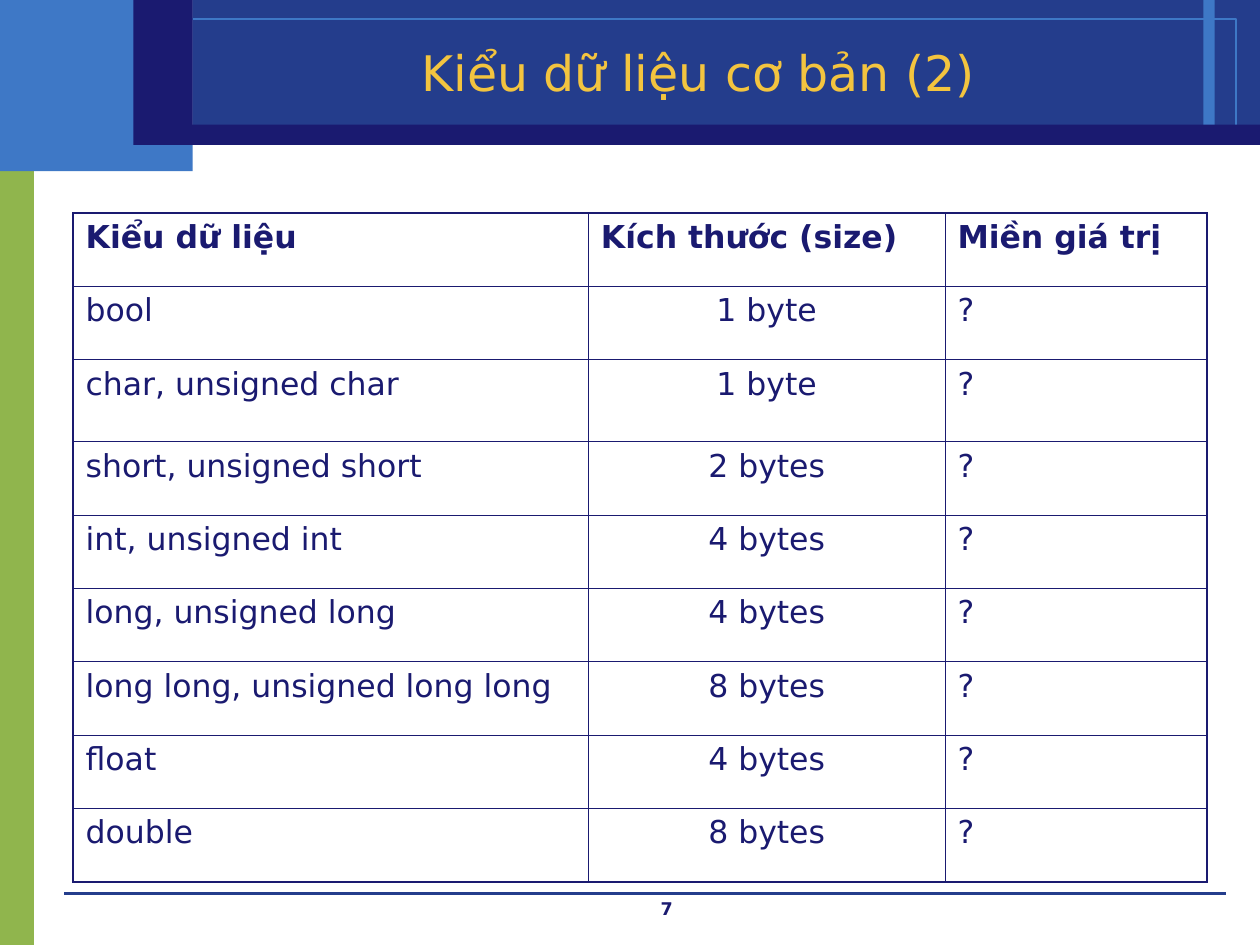
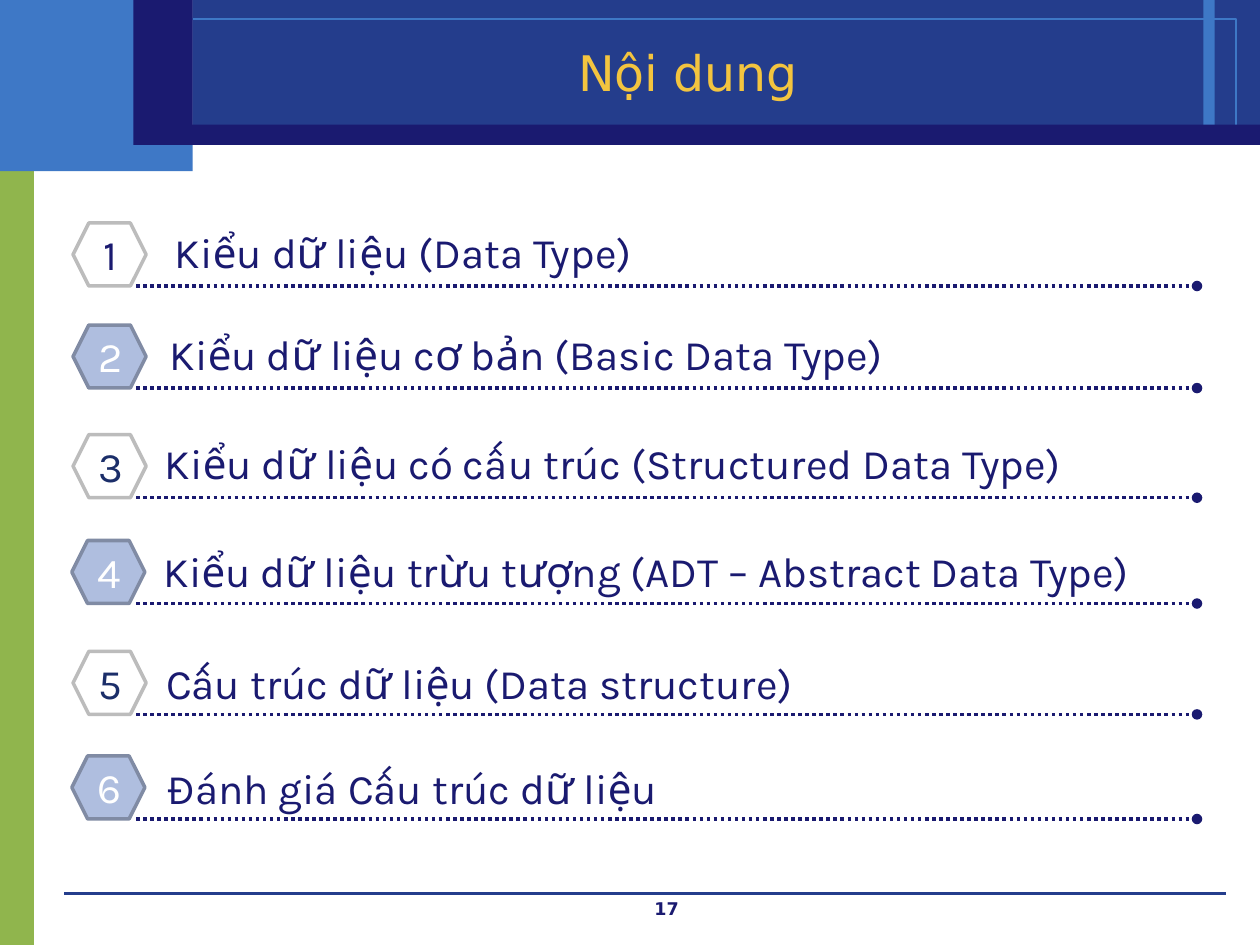
import pptx
import pptx.util
import pptx.dml.color
import pptx.enum.dml
import pptx.enum.shapes
import pptx.enum.text
import pptx.oxml.ns
from lxml import etree

Inches, Pt = pptx.util.Inches, pptx.util.Pt
Shape = pptx.enum.shapes.MSO_SHAPE
Align = pptx.enum.text.PP_ALIGN
Anchor = pptx.enum.text.MSO_ANCHOR
qn = pptx.oxml.ns.qn

COLORS = {
    "navy": "1A1A70", "royal": "243D8C", "sky": "3E78C6", "green": "90B54D",
    "gold": "F3C43F", "white": "FFFFFF", "slate": "1B2E69", "mist": "AFBEDF",
    "steel": "808BA4", "gray": "BCBCBC",
}
SANS, KARLA = "DejaVu Sans", "Karla"


def color(name):
    return pptx.dml.color.RGBColor.from_string(COLORS[name])


def write(frame, text, size=18, font=SANS, ink="navy", bold=False, align=Align.LEFT):
    """Put one formatted paragraph in a text frame."""
    para = frame.paragraphs[0]
    para.alignment = align
    run = para.add_run()
    run.text = text
    run.font.size = Pt(size)
    run.font.name = font
    run.font.bold = bold
    run.font.color.rgb = color(ink)


def edge(cell, index, side, width):
    """Draw one cell border; index keeps the borders in schema order."""
    line = etree.Element(qn("a:ln" + side), w=str(Pt(width)))
    fill = etree.SubElement(line, qn("a:solidFill"))
    etree.SubElement(fill, qn("a:srgbClr"), val=COLORS["navy"])
    cell._tc.get_or_add_tcPr().insert(index, line)


class Deck:
    def __init__(self):
        self.show = pptx.Presentation()
        self.show.slide_width = Inches(10)
        self.show.slide_height = Inches(7.5)
        self.slide = None

    def page(self, title, number, width):
        """Start a slide with the shared bands, title and page number."""
        self.slide = self.show.slides.add_slide(self.show.slide_layouts[6])
        self.shape((0, 1.07, 0.27, 6.44), fill="green")
        self.shape((0, 0, 1.53, 1.36), fill="sky")
        self.shape((1.53, 0, 8.47, 1.15), fill="royal")
        self.shape((9.55, 0, 0.09, 1), fill="sky")
        self.shape((0.2, 0.15, 9.61, 0.85), line="sky")
        self.line(0.51, 9.73, 7.09, ink="royal")
        self.shape((1.3, 0.99, 8.7, 0.16), fill="navy")
        self.shape((1.06, 0, 0.47, 1.15), fill="navy")
        self.text((3.58, 7.08, 3.42, 0.25), number, size=10, bold=True,
                  align=Align.CENTER)
        self.text((1.5, 0.26, width, 0.62), title, anchor=Anchor.MIDDLE,
                  size=28, ink="gold", align=Align.CENTER)

    def shape(self, box, kind=Shape.RECTANGLE, fill=None, line=None, width=0):
        item = self.slide.shapes.add_shape(kind, *map(Inches, box))
        item.shadow.inherit = False
        if fill:
            item.fill.solid()
            item.fill.fore_color.rgb = color(fill)
        else:
            item.fill.background()
        if line:
            item.line.color.rgb = color(line)
            item.line.width = Pt(width)
        else:
            item.line.fill.background()
        return item

    def text(self, box, text, wrap=True, anchor=Anchor.TOP, **style):
        frame = self.slide.shapes.add_textbox(*map(Inches, box)).text_frame
        frame.word_wrap = wrap
        frame.vertical_anchor = anchor
        write(frame, text, **style)

    def line(self, left, right, top, ink="navy", width=0, dotted=False):
        """Draw a level line; a dotted one ends in a round dot."""
        item = self.slide.shapes.add_connector(
            pptx.enum.shapes.MSO_CONNECTOR.STRAIGHT,
            Inches(left), Inches(top), Inches(right), Inches(top))
        item.line.color.rgb = color(ink)
        item.line.width = Pt(width)
        props = item._element.spPr
        if dotted:
            item.line.dash_style = pptx.enum.dml.MSO_LINE.ROUND_DOT
            etree.SubElement(props.find(qn("a:ln")), qn("a:tailEnd"), type="oval")
        etree.SubElement(props, qn("a:effectLst"))

    def badge(self, left, top, label, ink, fill, line):
        item = self.shape((left, top, 0.58, 0.5), Shape.HEXAGON, fill, line, 2)
        frame = item.text_frame
        frame.margin_left, frame.margin_right = Inches(0.11), Inches(0.1)
        frame.margin_top, frame.margin_bottom = Inches(0.05), Inches(0.06)
        frame.vertical_anchor = Anchor.MIDDLE
        write(frame, label, size=24, font=KARLA, ink=ink, align=Align.CENTER)

    def table(self, box, rows, widths, heights):
        table = self.slide.shapes.add_table(
            len(rows), len(widths), *map(Inches, box)).table
        table.first_row = table.horz_banding = False
        for col, width in zip(table.columns, widths):
            col.width = Inches(width)
        for row, height in zip(table.rows, heights):
            row.height = Inches(height)
        last, end = len(rows) - 1, len(widths) - 1
        for r, row in enumerate(rows):
            for c, text in enumerate(row):
                cell = table.cell(r, c)
                cell.fill.background()
                center = r > 0 and c == 1
                write(cell.text_frame, text, bold=r == 0,
                      align=Align.CENTER if center else Align.LEFT)
                outer = (c == 0, c == end, r == 0, r == last)
                for i, (side, thick) in enumerate(zip("LRTB", outer)):
                    edge(cell, i, side, 1.08 if thick else 0.45)


def types(deck):
    deck.page("Kiểu dữ liệu cơ bản (2)", "7", 8.08)
    sizes = [
        ("bool", "1 byte"),
        ("char, unsigned char", "1 byte"),
        ("short, unsigned short", "2 bytes"),
        ("int, unsigned int", "4 bytes"),
        ("long, unsigned long", "4 bytes"),
        ("long long, unsigned long long", "8 bytes"),
        ("float", "4 bytes"),
        ("double", "8 bytes"),
    ]
    rows = [("Kiểu dữ liệu", "Kích thước (size)", "Miền giá trị")]
    rows += [(name, size, "?") for name, size in sizes]
    total, tall = 5.31, 0.65
    heights = [(total - tall) / (len(rows) - 1)] * len(rows)
    heights[2] = tall
    deck.table((0.58, 1.69, 9, total), rows, (4.09, 2.83, 2.08), heights)


def agenda(deck):
    deck.page("Nội dung", "17", 7.92)
    # Line height, badge left, text left, text top, text width, text
    topics = [
        (2.27, 0.58, 1.29, 1.75, 3.91, "Kiểu dữ liệu (Data Type)"),
        (3.08, 0.58, 1.25, 2.56, 6.03, "Kiểu dữ liệu cơ bản (Basic Data Type)"),
        (3.95, 0.58, 1.21, 3.42, 7.55,
         "Kiểu dữ liệu có cấu trúc (Structured Data Type)"),
        (4.79, 0.57, 1.2, 4.28, 8.11,
         "Kiểu dữ liệu trừu tượng (ADT – Abstract Data Type)"),
        (5.67, 0.58, 1.22, 5.17, 5.23, "Cấu trúc dữ liệu (Data structure)"),
        (6.5, 0.57, 1.23, 6, 4.17, "Đánh giá Cấu trúc dữ liệu"),
    ]
    for n, (base, edge_x, left, top, width, topic) in enumerate(topics, 1):
        deck.line(1.08, 9.5, base, width=2, dotted=True)
        if n % 2:
            look = ("navy" if n == 1 else "slate", "white", "gray")
        else:
            look = ("white", "mist", "steel")
        deck.badge(edge_x, base - 0.5, str(n), *look)
        deck.text((left, top, width, 0.5), topic, wrap=False, size=24, font=KARLA)


def main():
    deck = Deck()
    types(deck)
    agenda(deck)
    deck.show.save("out.pptx")


if __name__ == "__main__":
    main()
